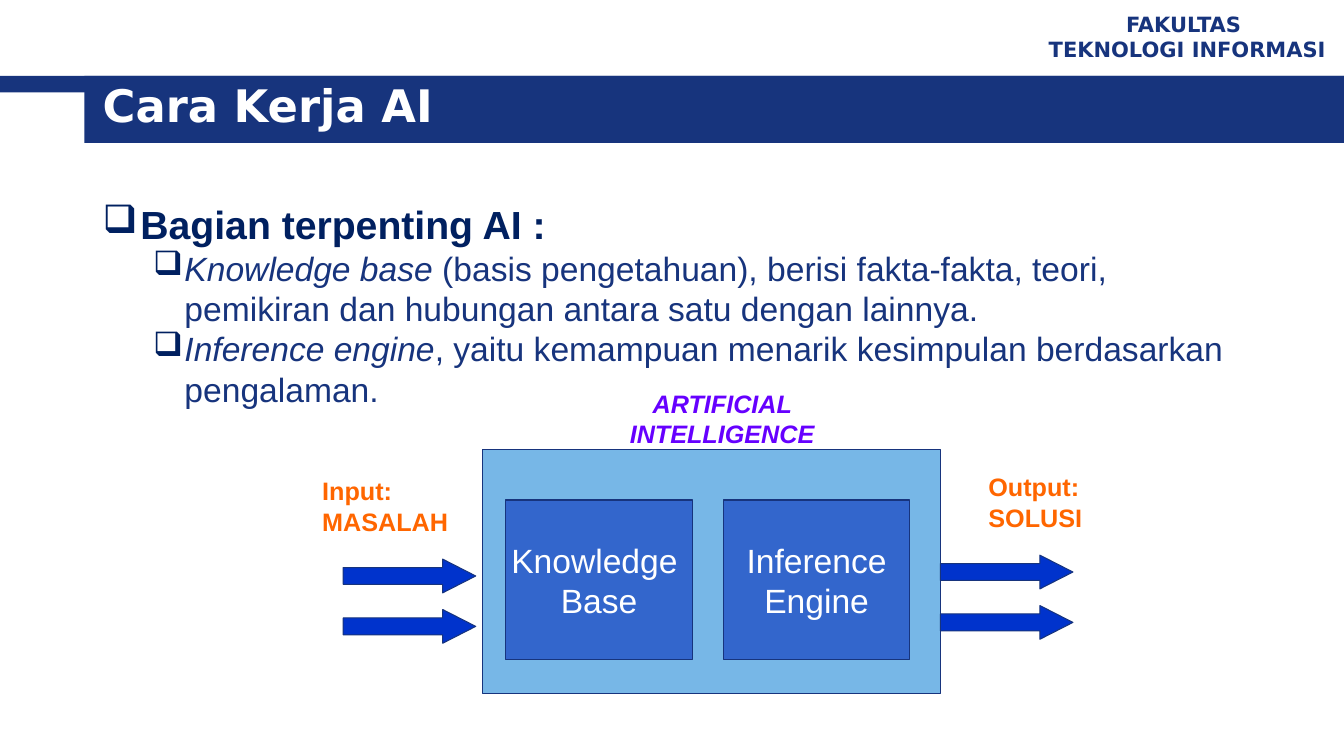
from dataclasses import dataclass

from lxml.etree import SubElement
from pptx import Presentation
from pptx.dml.color import RGBColor
from pptx.enum.shapes import MSO_SHAPE
from pptx.enum.text import MSO_ANCHOR, PP_ALIGN
from pptx.oxml.ns import qn
from pptx.util import Cm, Pt


@dataclass(frozen=True)
class Theme:
    navy: str = "17347D"
    dark: str = "002060"
    white: str = "FFFFFF"
    sky: str = "77B7E7"
    block: str = "3366CC"
    arrow: str = "0033CC"
    orange: str = "FF6600"
    violet: str = "6600FF"
    heading_font: str = "DejaVu Sans"
    body_font: str = "Arial"
    title: int = 32
    lead: int = 28
    text: int = 24
    label: int = 18
    faculty: int = 15


T = Theme()
WIDTH, HEIGHT = 33.87, 19.05


def add_run(p, text, size, color, font=T.body_font, bold=False, italic=False):
    r = p.add_run()
    r.text = text
    r.font.size = Pt(size)
    r.font.name = font
    r.font.bold = bold
    r.font.italic = italic
    r.font.color.rgb = RGBColor.from_string(color)


def add_lines(tf, lines, size, color, align=PP_ALIGN.LEFT, **style):
    for i, line in enumerate(lines):
        p = tf.add_paragraph() if i else tf.paragraphs[0]
        p.alignment = align
        add_run(p, line, size, color, **style)


def add_box(s, x, y, w, h, anchor=MSO_ANCHOR.TOP):
    tf = s.shapes.add_textbox(Cm(x), Cm(y), Cm(w), Cm(h)).text_frame
    tf.word_wrap = True
    tf.vertical_anchor = anchor
    return tf


def add_filled(s, kind, x, y, w, h, fill, outlined=True):
    sp = s.shapes.add_shape(kind, Cm(x), Cm(y), Cm(w), Cm(h))
    sp.shadow.inherit = False
    sp.fill.solid()
    sp.fill.fore_color.rgb = RGBColor.from_string(fill)
    if outlined:
        sp.line.color.rgb = RGBColor.from_string(T.navy)
        sp.line.width = Pt(0.75)
    else:
        sp.line.fill.background()
    return sp


def add_block(s, x, lines):
    sp = add_filled(s, MSO_SHAPE.RECTANGLE, x, 12.6, 4.7, 4.02, T.block)
    tf = sp.text_frame
    tf.word_wrap = False
    tf.vertical_anchor = MSO_ANCHOR.MIDDLE
    add_lines(tf, lines, T.text, T.white, PP_ALIGN.CENTER)


def add_arrow_pair(s, x, y):
    for row in range(2):
        sp = add_filled(s, MSO_SHAPE.RIGHT_ARROW, x, y + row * 1.27, 3.34, 0.85, T.arrow)
        sp.adjustments[0] = 0.5
        sp.adjustments[1] = 0.98


def set_bullet(p, level, indent, hanging):
    p.level = level
    pPr = p._p.get_or_add_pPr()
    pPr.set("marL", str(Cm(indent)))
    pPr.set("indent", str(-Cm(hanging)))
    color = SubElement(pPr, qn("a:buClr"))
    SubElement(color, qn("a:srgbClr"), val=T.dark)
    SubElement(pPr, qn("a:buChar"), char="❑")


def add_header(s):
    add_filled(s, MSO_SHAPE.RECTANGLE, 0, 1.91, WIDTH, 0.42, T.navy, False)
    add_filled(s, MSO_SHAPE.RECTANGLE, 2.13, 1.91, WIDTH - 2.13, 1.69, T.navy, False)
    tf = add_box(s, 25.98, 0.13, 7.88, 1.57, MSO_ANCHOR.MIDDLE)
    add_lines(tf, ["FAKULTAS ", "TEKNOLOGI INFORMASI"], T.faculty, T.navy,
              PP_ALIGN.CENTER, font=T.heading_font, bold=True)
    tf = add_box(s, 2.34, 1.32, 29.85, 2.62, MSO_ANCHOR.MIDDLE)
    add_lines(tf, ["Cara Kerja AI"], T.title, T.white, font=T.heading_font, bold=True)


def add_body(s):
    tf = add_box(s, 2.34, 4.93, 29, 13.39)
    p = tf.paragraphs[0]
    set_bullet(p, 0, 0.95, 0.95)
    add_run(p, "Bagian terpenting AI :", T.lead, T.dark, bold=True)
    parts = [
        ("Knowledge base", " (basis pengetahuan), berisi fakta-fakta, teori, "
                           "pemikiran dan hubungan antara satu dengan lainnya."),
        ("Inference engine", ", yaitu kemampuan menarik kesimpulan berdasarkan pengalaman."),
    ]
    for term, meaning in parts:
        p = tf.add_paragraph()
        set_bullet(p, 1, 2.06, 0.79)
        add_run(p, term, T.text, T.navy, italic=True)
        add_run(p, meaning, T.text, T.navy)


def add_diagram(s):
    add_filled(s, MSO_SHAPE.RECTANGLE, 12.17, 11.33, 11.53, 6.15, T.sky)
    add_block(s, 12.75, ["Knowledge ", "Base"])
    add_block(s, 18.23, ["Inference", "Engine"])
    add_arrow_pair(s, 8.65, 14.09)
    add_arrow_pair(s, 23.7, 13.99)
    add_lines(add_box(s, 7.87, 11.86, 4.14, 1.78), ["Input:", "MASALAH"],
              T.label, T.orange, bold=True)
    add_lines(add_box(s, 24.66, 11.76, 2.92, 1.78), ["Output:", "SOLUSI"],
              T.label, T.orange, bold=True)
    add_lines(add_box(s, 14.1, 9.65, 8.2, 1.78), ["ARTIFICIAL INTELLIGENCE"],
              T.label, T.violet, PP_ALIGN.CENTER, bold=True, italic=True)


def main():
    prs = Presentation()
    prs.slide_width = Cm(WIDTH)
    prs.slide_height = Cm(HEIGHT)
    s = prs.slides.add_slide(prs.slide_layouts[6])
    add_header(s)
    add_body(s)
    add_diagram(s)
    prs.save("out.pptx")


if __name__ == "__main__":
    main()
